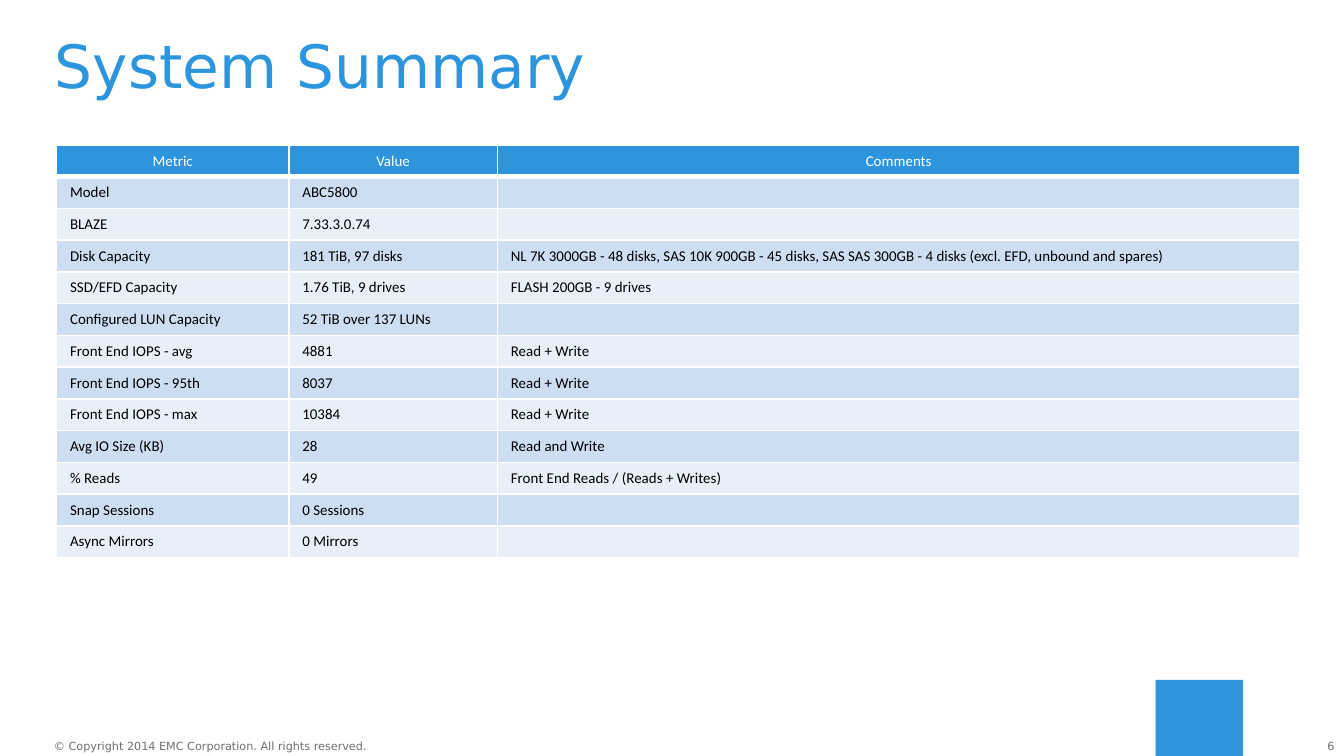
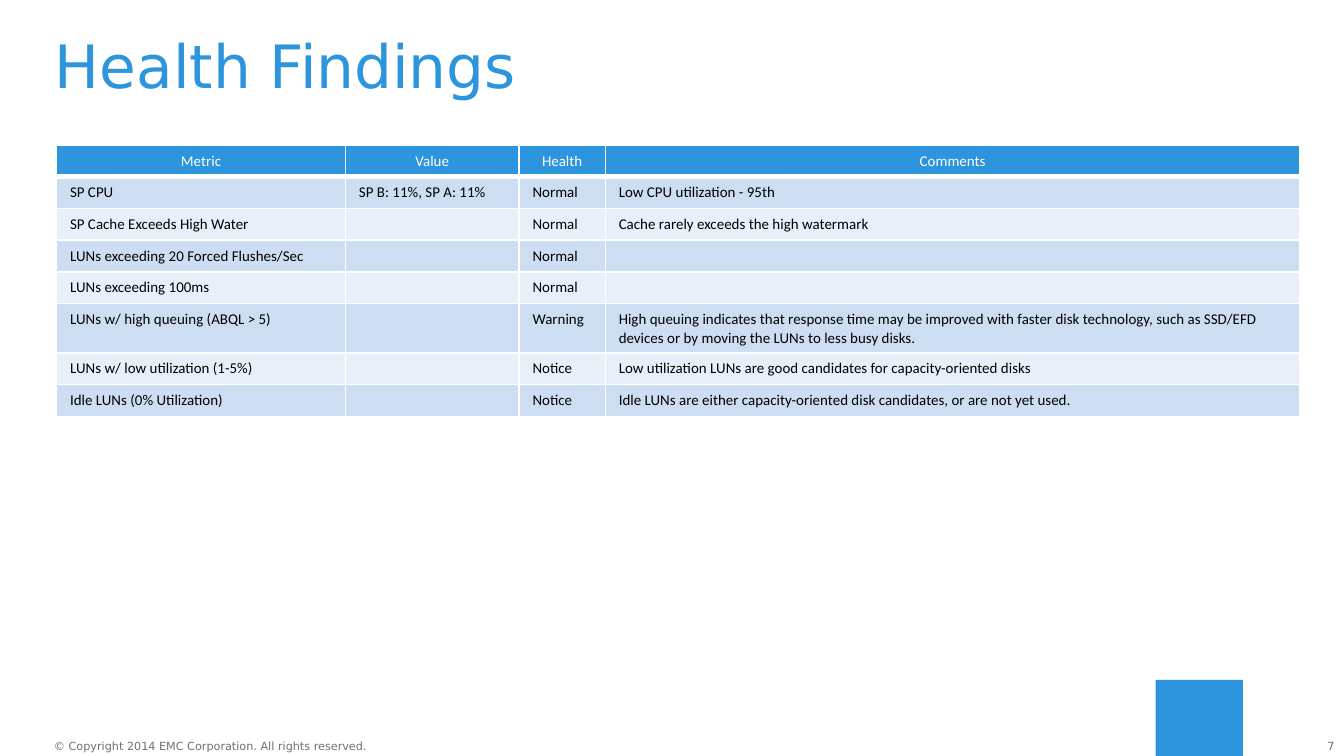
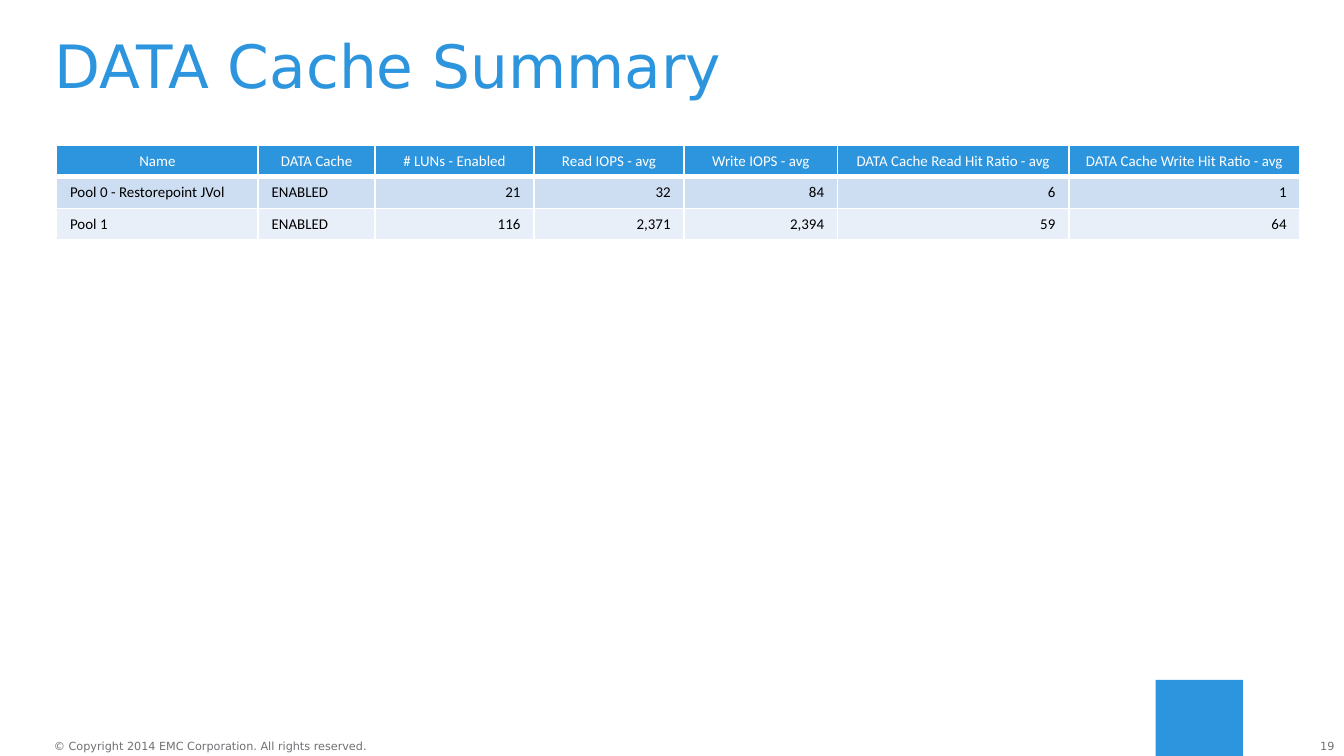
from lxml import etree
from pptx import Presentation
from pptx.dml.color import RGBColor
from pptx.enum.shapes import MSO_SHAPE
from pptx.enum.text import MSO_ANCHOR, PP_ALIGN
from pptx.oxml.ns import qn
from pptx.util import Cm, Pt

RECT = MSO_SHAPE.RECTANGLE
TOP, BOTTOM = MSO_ANCHOR.TOP, MSO_ANCHOR.BOTTOM
LEFT, CENTER, RIGHT = PP_ALIGN.LEFT, PP_ALIGN.CENTER, PP_ALIGN.RIGHT

COLORS = {
    "blue": "2C95DD",
    "dark": "CDDDF2",
    "light": "E8EFF9",
    "white": "FFFFFF",
    "black": "000000",
    "gray": "717074",
}
FONTS = {
    "title": {"name": "DejaVu Sans", "size": Pt(32), "bold": False},
    "foot": {"name": "DejaVu Sans", "size": Pt(6), "bold": False},
    "cell": {"name": "Calibri", "size": Pt(8), "bold": False},
}
WIDTH, HEIGHT = 25.4, 14.29
HEAD = (1.04, 0.64, 23.5, 1.27)
GRID = (1.07, 2.74, 23.5, 0.6)
FOOT = (1.02, 12.85, 24.2, 1.44)
NOTICE = "© Copyright 2014 EMC Corporation. All rights reserved."

SYSTEM = [
    ("Metric", "Value", "Comments"),
    ("Model", "ABC5800", ""),
    ("BLAZE", "7.33.3.0.74", ""),
    ("Disk Capacity", "181 TiB, 97 disks",
     "NL 7K 3000GB - 48 disks, SAS 10K 900GB - 45 disks, "
     "SAS SAS 300GB - 4 disks (excl. EFD, unbound and spares)"),
    ("SSD/EFD Capacity", "1.76 TiB, 9 drives", "FLASH 200GB - 9 drives"),
    ("Configured LUN Capacity", "52 TiB over 137 LUNs", ""),
    ("Front End IOPS - avg", "4881", "Read + Write"),
    ("Front End IOPS - 95th", "8037", "Read + Write"),
    ("Front End IOPS - max", "10384", "Read + Write"),
    ("Avg IO Size (KB)", "28", "Read and Write"),
    ("% Reads", "49", "Front End Reads / (Reads + Writes)"),
    ("Snap Sessions", "0 Sessions", ""),
    ("Async Mirrors", "0 Mirrors", ""),
]
HEALTH = [
    ("Metric", "Value", "Health", "Comments"),
    ("SP CPU", "SP B: 11%, SP A: 11%", "Normal", "Low CPU utilization - 95th"),
    ("SP Cache Exceeds High Water", "", "Normal",
     "Cache rarely exceeds the high watermark"),
    ("LUNs exceeding 20 Forced Flushes/Sec", "", "Normal", ""),
    ("LUNs exceeding 100ms", "", "Normal", ""),
    ("LUNs w/ high queuing (ABQL > 5)", "", "Warning",
     "High queuing indicates that response time may be improved with faster "
     "disk technology, such as SSD/EFD devices or by moving the LUNs to less "
     "busy disks."),
    ("LUNs w/ low utilization (1-5%)", "", "Notice",
     "Low utilization LUNs are good candidates for capacity-oriented disks"),
    ("Idle LUNs (0% Utilization)", "", "Notice",
     "Idle LUNs are either capacity-oriented disk candidates, "
     "or are not yet used."),
]
CACHE = [
    ("Name", "DATA Cache", "# LUNs - Enabled", "Read IOPS - avg",
     "Write IOPS - avg", "DATA Cache Read Hit Ratio - avg",
     "DATA Cache Write Hit Ratio - avg"),
    ("Pool 0 - Restorepoint JVol", "ENABLED", "21", "32", "84", "6", "1"),
    ("Pool 1", "ENABLED", "116", "2,371", "2,394", "59", "64"),
]
PAGES = [
    ("System Summary", 6, (4.39, 3.94, 15.17), SYSTEM, 3),
    ("Health Findings", 7, (5.46, 3.28, 1.63, 13.13), HEALTH, 4),
    ("DATA Cache Summary", 19,
     (3.81, 2.21, 3, 2.84, 2.9, 4.37, 4.37), CACHE, 2),
]


def paint(fill, color):
    fill.solid()
    fill.fore_color.rgb = RGBColor.from_string(COLORS[color])


def write(para, text, font, color, align):
    para.alignment = align
    if not text:
        size = str(int(FONTS[font]["size"].pt * 100))
        etree.SubElement(para._p, qn("a:endParaRPr"), sz=size)
        return
    run = para.add_run()
    run.text = text
    for key, value in FONTS[font].items():
        setattr(run.font, key, value)
    run.font.color.rgb = RGBColor.from_string(COLORS[color])


def label(slide, box, text, font, color, align=LEFT, anchor=TOP, wrap=True):
    frame = slide.shapes.add_textbox(*map(Cm, box)).text_frame
    values = {"margin_left": 0, "margin_top": 0, "margin_right": 0,
              "margin_bottom": 0, "word_wrap": wrap,
              "vertical_anchor": anchor}
    for key, value in values.items():
        setattr(frame, key, value)
    write(frame.paragraphs[0], text, font, color, align)
    return frame


def footer(slide, box, number):
    left, top, width, height = box
    low = top + 1.12
    label(slide, (left + width - 0.79, low, 0.79, 0.25), str(number),
          "foot", "gray", RIGHT)
    block = slide.shapes.add_shape(
        RECT, *map(Cm, (left + 20.82, top, 1.65, height)))
    block.shadow.inherit = False
    paint(block.fill, "blue")
    block.line.fill.background()
    label(slide, (left, low, 6.02, 0.25), NOTICE, "foot", "gray", wrap=False)


def header(slide, box, text):
    frame = label(slide, box, text, "title", "blue", anchor=BOTTOM)
    frame.paragraphs[0].line_spacing = 0.9


def border(cell, base):
    props = cell._tc.get_or_add_tcPr()
    for side, width in {"L": 1, "R": 1, "T": 1, "B": base}.items():
        line = etree.SubElement(props, qn("a:ln" + side), w=str(Pt(width)))
        solid = etree.SubElement(line, qn("a:solidFill"))
        etree.SubElement(solid, qn("a:srgbClr"), val=COLORS["white"])


def grid(slide, box, widths, rows, texts):
    left, top, width, height = box
    table = slide.shapes.add_table(
        len(rows), len(widths), Cm(left), Cm(top), Cm(width),
        Cm(height * len(rows))).table
    table.horz_banding = False
    for column, size in zip(table.columns, widths):
        column.width = Cm(size)
    for r, row in enumerate(rows):
        table.rows[r].height = Cm(height)
        for c, text in enumerate(row):
            cell = table.cell(r, c)
            border(cell, 1 if r else 3)
            if r == 0:
                fill, color, align = "blue", "white", CENTER
            else:
                fill = "dark" if r % 2 else "light"
                color, align = "black", LEFT if c < texts else RIGHT
            paint(cell.fill, fill)
            write(cell.text_frame.paragraphs[0], text, "cell", color, align)


def main():
    deck = Presentation()
    deck.slide_width, deck.slide_height = Cm(WIDTH), Cm(HEIGHT)
    for title, number, widths, rows, texts in PAGES:
        slide = deck.slides.add_slide(deck.slide_layouts[6])
        paint(slide.background.fill, "white")
        footer(slide, FOOT, number)
        header(slide, HEAD, title)
        grid(slide, GRID, widths, rows, texts)
    deck.save("out.pptx")


if __name__ == "__main__":
    main()
